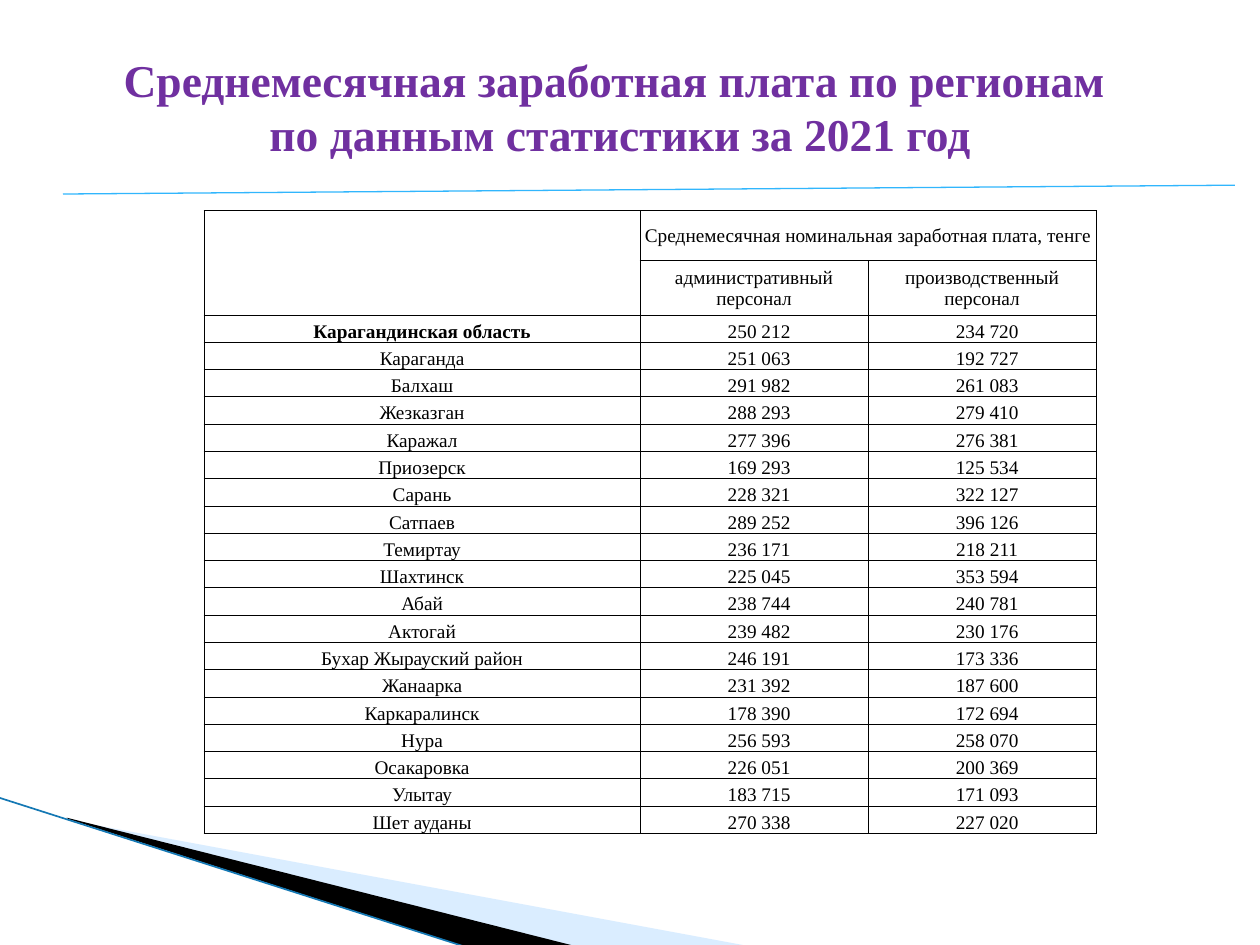
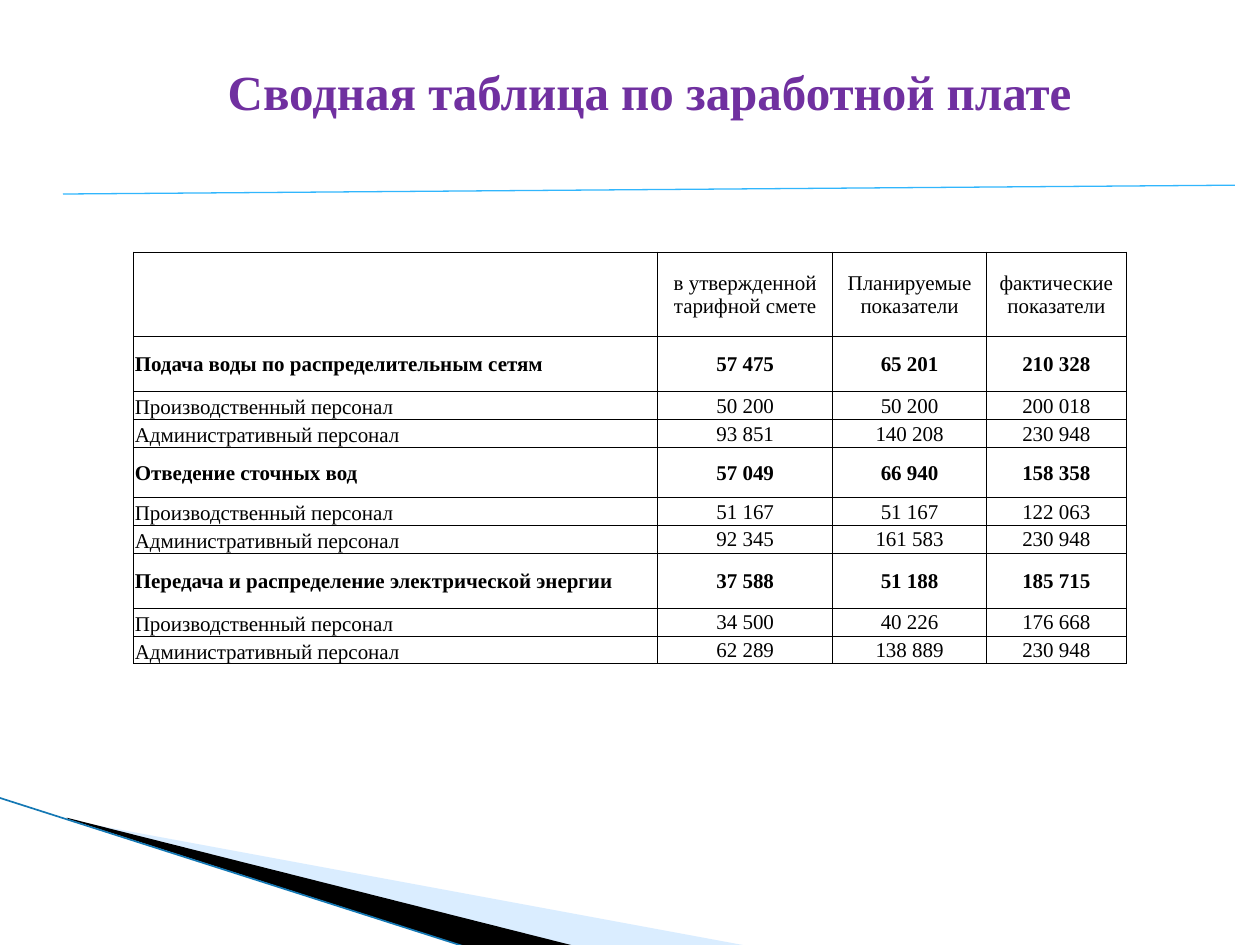
from dataclasses import dataclass

from lxml import etree
from pptx import Presentation
from pptx import util as u
from pptx.dml.color import RGBColor
from pptx.enum import shapes, text
from pptx.oxml import ns


@dataclass(frozen=True)
class Theme:
    font: str = "Times New Roman"
    title: str = "7030A0"
    ink: str = "000000"
    rule: str = "31B6FD"
    edge: str = "1478B4"
    wedge: str = "A3D3FF"
    wedge_alpha: int = 40
    rule_width: float = 0.75
    edge_width: float = 0.95
    border_width: float = 0.5
    cell_margin: float = 0.01


THEME = Theme()
WIDTH, HEIGHT = 10, 7.5

PALE_WEDGE = [(0.55, 6.51), (5.95, 7.51), (4.56, 7.51), (0.55, 6.5)]
DARK_WEDGE = [(0.53, 6.49), (4.57, 7.51), (3.72, 7.52), (0.54, 6.5)]
EDGE_LINE = [(-0.01, 6.33), (3.71, 7.52)]
TITLE_RULE = [(0.5, 1.54), (9.8, 1.47)]

REGION_HEADS = [
    ["", "Среднемесячная номинальная заработная плата, тенге", ""],
    ["", "административный персонал", "производственный персонал"],
]
REGION_WAGES = [
    ["Карагандинская область", "250 212", "234 720"],
    ["Караганда", "251 063", "192 727"],
    ["Балхаш", "291 982", "261 083"],
    ["Жезказган", "288 293", "279 410"],
    ["Каражал", "277 396", "276 381"],
    ["Приозерск", "169 293", "125 534"],
    ["Сарань", "228 321", "322 127"],
    ["Сатпаев", "289 252", "396 126"],
    ["Темиртау", "236 171", "218 211"],
    ["Шахтинск", "225 045", "353 594"],
    ["Абай", "238 744", "240 781"],
    ["Актогай", "239 482", "230 176"],
    ["Бухар Жырауский район", "246 191", "173 336"],
    ["Жанаарка", "231 392", "187 600"],
    ["Каркаралинск", "178 390", "172 694"],
    ["Нура", "256 593", "258 070"],
    ["Осакаровка", "226 051", "200 369"],
    ["Улытау", "183 715", "171 093"],
    ["Шет ауданы", "270 338", "227 020"],
]

SUMMARY_HEAD = [
    "", "в утвержденной тарифной смете",
    "Планируемые показатели", "фактические показатели",
]
STAFF = ["Производственный персонал", "Административный персонал"]
SERVICES = [
    ("Подача воды по распределительным сетям", 0.44, [
        ["57 475", "65 201", "210 328"],
        ["50 200", "50 200", "200 018"],
        ["93 851", "140 208", "230 948"]]),
    ("Отведение сточных вод", 0.4, [
        ["57 049", "66 940", "158 358"],
        ["51 167", "51 167", "122 063"],
        ["92 345", "161 583", "230 948"]]),
    ("Передача и распределение электрической энергии", 0.44, [
        ["37 588", "51 188", "185 715"],
        ["34 500", "40 226", "176 668"],
        ["62 289", "138 889", "230 948"]]),
]

REGION_TABLE = {
    "at": (1.62, 1.67), "columns": [3.46, 1.81, 1.81], "size": 11,
    "head_heights": [0.4, 0.43], "body_height": 4.12,
}
SUMMARY_TABLE = {
    "at": (1.06, 2), "columns": [4.16, 1.39, 1.22, 1.11], "size": 12,
    "head_height": 0.67, "staff_height": 0.22,
}


def rgb(value):
    return RGBColor.from_string(value)


def add_wedge(page, points, color, alpha=None):
    corners = [(u.Inches(x), u.Inches(y)) for x, y in points]
    builder = page.shapes.build_freeform(*corners[0])
    builder.add_line_segments(corners[1:], close=True)
    wedge = builder.convert_to_shape()
    wedge.shadow.inherit = False
    wedge.line.fill.background()
    wedge.fill.solid()
    wedge.fill.fore_color.rgb = rgb(color)
    if alpha:
        tint = wedge.fill._xPr.find(".//" + ns.qn("a:srgbClr"))
        etree.SubElement(tint, ns.qn("a:alpha"), val=str(alpha * 1000))


def add_line(page, ends, color, width):
    places = [u.Inches(value) for point in ends for value in point]
    line = page.shapes.add_connector(shapes.MSO_CONNECTOR.STRAIGHT, *places)
    line.line.color.rgb = rgb(color)
    line.line.width = u.Pt(width)
    etree.SubElement(line._element.spPr, ns.qn("a:effectLst"))


def write(para, words, size, color, bold):
    span = para.add_run()
    span.text = words
    span.font.name = THEME.font
    span.font.size = u.Pt(size)
    span.font.bold = bold
    span.font.color.rgb = rgb(color)


def add_page(deck, title_lines, title_at, title_size, wrap):
    page = deck.slides.add_slide(deck.slide_layouts[6])
    add_wedge(page, PALE_WEDGE, THEME.wedge, THEME.wedge_alpha)
    add_wedge(page, DARK_WEDGE, THEME.ink)
    add_line(page, EDGE_LINE, THEME.edge, THEME.edge_width)
    box = page.shapes.add_textbox(*[u.Inches(value) for value in title_at])
    frame = box.text_frame
    frame.word_wrap = wrap
    frame.auto_size = text.MSO_AUTO_SIZE.SHAPE_TO_FIT_TEXT
    for index, words in enumerate(title_lines):
        para = frame.add_paragraph() if index else frame.paragraphs[0]
        para.alignment = text.PP_ALIGN.CENTER
        write(para, words, title_size, THEME.title, True)
    add_line(page, TITLE_RULE, THEME.rule, THEME.rule_width)
    return page


def set_borders(cell):
    props = cell._tc.get_or_add_tcPr()
    for index, side in enumerate(("lnL", "lnR", "lnT", "lnB")):
        line = etree.Element(ns.qn("a:" + side), w=str(u.Pt(THEME.border_width)))
        fill = etree.SubElement(line, ns.qn("a:solidFill"))
        etree.SubElement(fill, ns.qn("a:srgbClr"), val=THEME.ink)
        props.insert(index, line)


def add_grid(page, at, columns, heights, rows, size, style):
    frame = page.shapes.add_table(
        len(rows), len(columns), u.Inches(at[0]), u.Inches(at[1]),
        u.Inches(sum(columns)), u.Inches(sum(heights)))
    table = frame.table
    table.first_row = table.horz_banding = False
    for column, width in zip(table.columns, columns):
        column.width = u.Inches(width)
    for r, (row, height) in enumerate(zip(rows, heights)):
        table.rows[r].height = u.Inches(height)
        for c, words in enumerate(row):
            cell = table.cell(r, c)
            align, anchor, bold, indent = style(r, c)
            cell.margin_left = u.Inches(THEME.cell_margin + indent)
            cell.margin_right = cell.margin_top = u.Inches(THEME.cell_margin)
            cell.margin_bottom = 0
            cell.vertical_anchor = anchor
            cell.fill.background()
            set_borders(cell)
            para = cell.text_frame.paragraphs[0]
            para.alignment = align
            para.font.size = u.Pt(size)
            if words:
                write(para, words, size, THEME.ink, bold)
    return table


def region_style(r, c):
    head = r < len(REGION_HEADS)
    anchor = text.MSO_ANCHOR.MIDDLE if head else text.MSO_ANCHOR.BOTTOM
    bold = r == len(REGION_HEADS) and c == 0
    indent = 0.08 if c and not head else 0
    return text.PP_ALIGN.CENTER, anchor, bold, indent


def summary_style(r, c):
    service = r > 0 and (r - 1) % (1 + len(STAFF)) == 0
    staff_name = r > 0 and c == 0 and not service
    align = text.PP_ALIGN.LEFT if r and c == 0 else text.PP_ALIGN.CENTER
    anchor = text.MSO_ANCHOR.BOTTOM if staff_name else text.MSO_ANCHOR.MIDDLE
    return align, anchor, service, 0


def build_regions(deck):
    page = add_page(
        deck,
        ["Среднемесячная заработная плата по регионам ",
         "по данным статистики за 2021 год"],
        (0.36, 0.36, 9.13, 0.98), 26, True)
    plan = REGION_TABLE
    row_height = plan["body_height"] / len(REGION_WAGES)
    heights = plan["head_heights"] + [row_height] * len(REGION_WAGES)
    table = add_grid(page, plan["at"], plan["columns"], heights,
                     REGION_HEADS + REGION_WAGES, plan["size"], region_style)
    table.cell(0, 0).merge(table.cell(1, 0))
    table.cell(0, 1).merge(table.cell(0, 2))


def build_summary(deck):
    page = add_page(deck, ["Сводная таблица по заработной плате"],
                    (1.67, 0.44, 6.97, 0.57), 28, False)
    plan = SUMMARY_TABLE
    rows, heights = [SUMMARY_HEAD], [plan["head_height"]]
    for service, height, wages in SERVICES:
        rows += [[name] + values for name, values in zip([service] + STAFF, wages)]
        heights += [height] + [plan["staff_height"]] * len(STAFF)
    add_grid(page, plan["at"], plan["columns"], heights, rows,
             plan["size"], summary_style)


def main():
    deck = Presentation()
    deck.slide_width, deck.slide_height = u.Inches(WIDTH), u.Inches(HEIGHT)
    build_regions(deck)
    build_summary(deck)
    deck.save("out.pptx")


if __name__ == "__main__":
    main()
